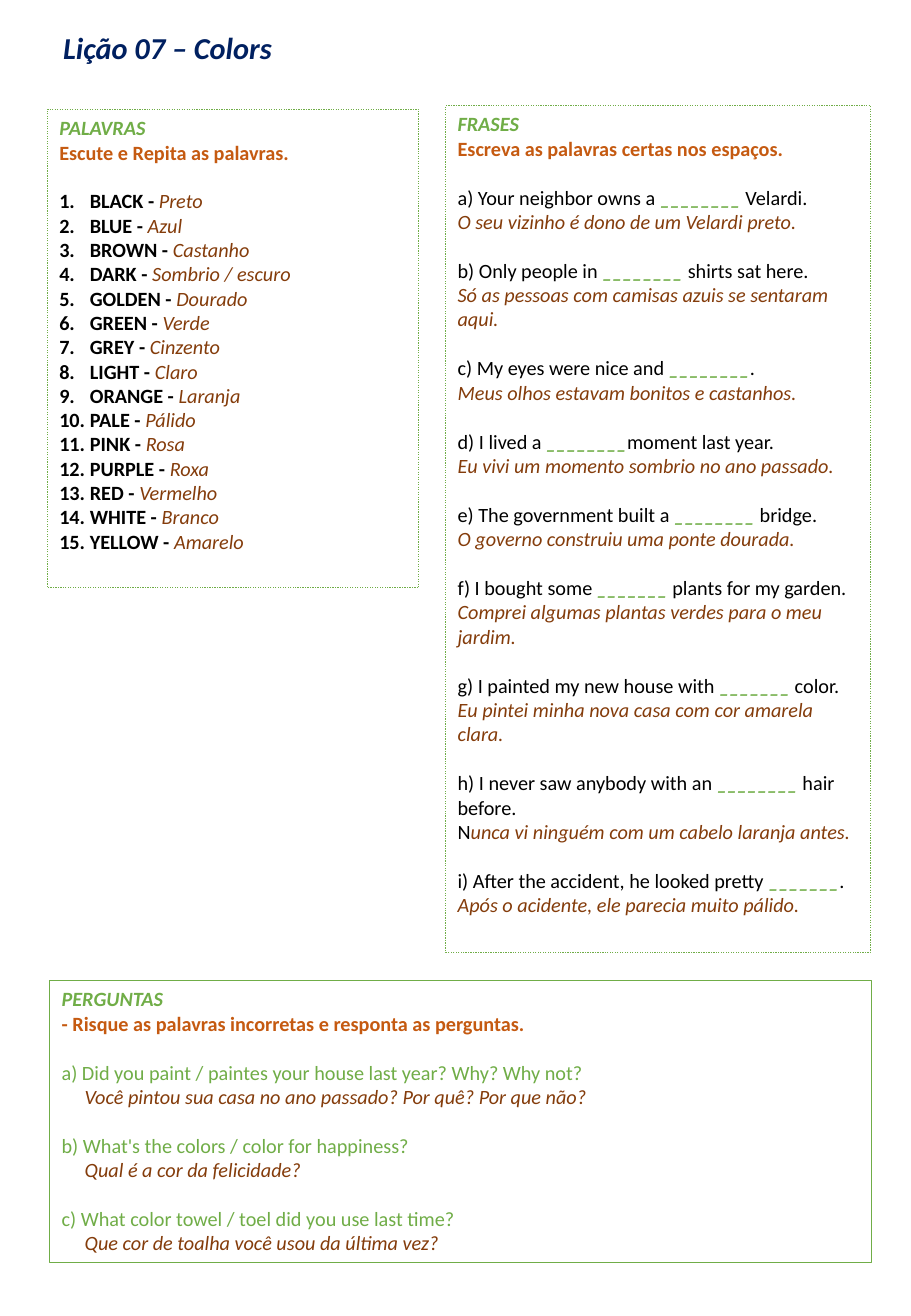
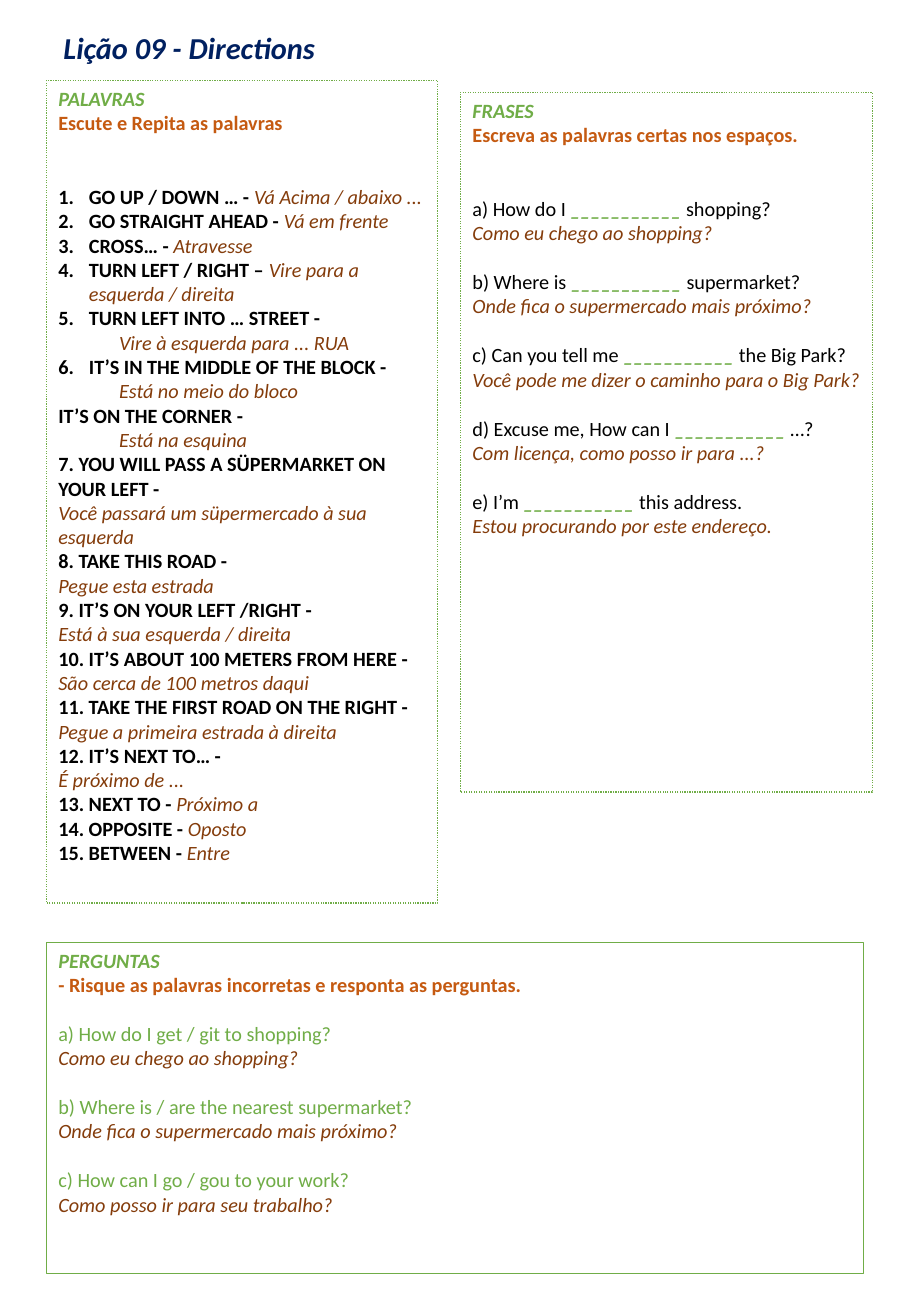
"""Builds two one-page English lessons with words, sentences and questions."""
from dataclasses import dataclass, replace

from lxml import etree
from pptx import Presentation
from pptx import util as u
from pptx.dml.color import RGBColor
from pptx.enum import dml, shapes, text
from pptx.oxml.ns import qn

GREEN, ORANGE, BROWN, NAVY, BLACK = "70AD47", "C55A11", "843C0B", "002060", "000000"
FONT = "Calibri"
BODY_PT = 12
GAP_PT = 14.6
LIST_INDENT = 0.64
MEANING_INDENT = 1.27

STYLES = {
    "title": dict(color=NAVY, bold=True, italic=True, size=18),
    "heading": dict(color=GREEN, bold=True, italic=True),
    "task": dict(color=ORANGE, bold=True),
    "word": dict(color=BLACK, bold=True),
    "sentence": dict(color=BLACK),
    "blank": dict(color=GREEN, bold=True, italic=True),
    "question": dict(color=GREEN),
    "translation": dict(color=BROWN, italic=True),
}


@dataclass(frozen=True)
class Para:
    """A paragraph of (style, text) runs; lengths are in centimetres."""
    runs: tuple[tuple[str, str], ...]
    gaps: int = 0
    left: float = 0
    hanging: float = 0
    numbered: bool = False


@dataclass(frozen=True)
class Panel:
    """A framed text box; lengths are in centimetres."""
    left: float
    top: float
    width: float
    height: float
    heading: str
    task: str
    paras: list[Para]
    dotted: bool = True


@dataclass(frozen=True)
class Lesson:
    """A page with a title and its panels."""
    title: str
    title_width: float
    panels: list[Panel]


def rgb(hex_color: str) -> RGBColor:
    """Turn a hex string into a colour."""
    return RGBColor.from_string(hex_color)


def add_run(p, content: str, *, color: str, bold: bool = False,
            italic: bool = False, size: float = BODY_PT) -> None:
    """Append formatted text to a paragraph."""
    r = p.add_run()
    r.text = content
    f = r.font
    f.name, f.size, f.bold, f.italic = FONT, u.Pt(size), bold, italic
    f.color.rgb = rgb(color)


def line(style: str, content: str, **layout) -> Para:
    """Make a paragraph with a single run."""
    return Para(((style, content),), **layout)


def entry(word: str, meaning: str) -> Para:
    """Make a vocabulary entry with its meaning on the same line."""
    return Para((("word", f"{word} "), ("translation", meaning)))


def numbered(para: Para) -> Para:
    """Give an entry an automatic number."""
    return replace(para, left=LIST_INDENT, hanging=LIST_INDENT, numbered=True)


def pair(word: str, meaning: str, indent: float = 0) -> list[Para]:
    """Make an expression with its meaning on the next line."""
    return [line("word", word), line("translation", meaning, left=indent)]


def with_gap(paras: list[Para], gaps: int) -> list[Para]:
    """Set the number of free lines above the first paragraph."""
    return [replace(paras[0], gaps=gaps), *paras[1:]]


def sentences(*items: tuple[str, str]) -> list[Para]:
    """Make fill-in sentences; a bar ends the plain start of a translation."""
    paras = []
    for english, portuguese in items:
        start, end = english.index("_"), english.rindex("_") + 1
        lead, _, rest = portuguese.rpartition("|")
        plain = (("sentence", lead),) if lead else ()
        paras += [Para((("sentence", english[:start]), ("blank", english[start:end]),
                        ("sentence", english[end:])), gaps=1),
                  Para(plain + (("translation", rest),))]
    return paras


def questions(*items: tuple[str, str], indent: float = 0) -> list[Para]:
    """Make questions, each followed by its translation."""
    paras = []
    for english, portuguese in items:
        paras += [line("question", english, gaps=1),
                  line("translation", portuguese, left=indent)]
    return paras


def write_para(p, para: Para) -> None:
    """Fill a paragraph with its layout and runs."""
    p.alignment = text.PP_ALIGN.LEFT
    pPr = p._p.get_or_add_pPr()
    if para.left:
        pPr.set("marL", str(int(u.Cm(para.left))))
        pPr.set("indent", str(-int(u.Cm(para.hanging))))
    if para.numbered:
        etree.SubElement(pPr, qn("a:buFont"), typeface="+mj-lt")
        etree.SubElement(pPr, qn("a:buAutoNum"), type="arabicPeriod")
    if para.gaps:
        p.space_before = u.Pt(GAP_PT * para.gaps)
    for style, content in para.runs:
        add_run(p, content, **STYLES[style])


def draw_panel(s, panel: Panel) -> None:
    """Draw a framed panel with its heading, task and paragraphs."""
    sp = s.shapes.add_shape(shapes.MSO_SHAPE.RECTANGLE, u.Cm(panel.left), u.Cm(panel.top),
                            u.Cm(panel.width), u.Cm(panel.height))
    sp.shadow.inherit = False
    sp.fill.background()
    sp.line.color.rgb = rgb(GREEN)
    sp.line.width = u.Pt(0.75 if panel.dotted else 0.25)
    if panel.dotted:
        sp.line.dash_style = dml.MSO_LINE.ROUND_DOT
    tf = sp.text_frame
    tf.word_wrap = True
    tf.vertical_anchor = text.MSO_ANCHOR.TOP
    paras = [line("heading", panel.heading), line("task", panel.task), *panel.paras]
    for i, para in enumerate(paras):
        write_para(tf.add_paragraph() if i else tf.paragraphs[0], para)


def draw_lesson(prs, lesson: Lesson) -> None:
    """Add a slide for a lesson."""
    s = prs.slides.add_slide(prs.slide_layouts[6])
    sp = s.shapes.add_textbox(u.Cm(1.04), u.Cm(0.43), u.Cm(lesson.title_width), u.Cm(1.09))
    tf = sp.text_frame
    tf.word_wrap = False
    p = tf.paragraphs[0]
    p.alignment = text.PP_ALIGN.CENTER
    p.line_spacing = 1.07
    add_run(p, lesson.title, **STYLES["title"])
    for panel in lesson.panels:
        draw_panel(s, panel)


FILL_TASK = "Escreva as palavras certas nos espaços."
STRIKE_TASK = "- Risque as palavras incorretas e responta as perguntas."

COLOR_WORDS = [numbered(entry(f"{word} -", meaning)) for word, meaning in (
    ("BLACK", "Preto"), ("BLUE", "Azul"), ("BROWN", "Castanho"),
    ("DARK", "Sombrio / escuro"), ("GOLDEN", "Dourado"), ("GREEN", "Verde"),
    ("GREY", "Cinzento"), ("LIGHT", "Claro"), ("ORANGE", "Laranja"),
    ("PALE", "Pálido"), ("PINK", "Rosa"), ("PURPLE", "Roxa"),
    ("RED", "Vermelho"), ("WHITE", "Branco"), ("YELLOW", "Amarelo"))]

COLOR_SENTENCES = sentences(
    ("a) Your neighbor owns a ________ Velardi.",
     "O seu vizinho é dono de um Velardi preto."),
    ("b) Only people in ________ shirts sat here.",
     "Só as pessoas com camisas azuis se sentaram aqui."),
    ("c) My eyes were nice and ________.", "Meus olhos estavam bonitos e castanhos."),
    ("d) I lived a ________moment last year.",
     "Eu vivi um momento sombrio no ano passado."),
    ("e) The government built a ________ bridge.",
     "O governo construiu uma ponte dourada."),
    ("f) I bought some _______ plants for my garden.",
     "Comprei algumas plantas verdes para o meu jardim."),
    ("g) I painted my new house with _______ color.",
     "Eu pintei minha nova casa com cor amarela clara."),
    ("h) I never saw anybody with an ________ hair before.",
     "N|unca vi ninguém com um cabelo laranja antes."),
    ("i) After the accident, he looked pretty _______.",
     "Após o acidente, ele parecia muito pálido."))

COLOR_QUESTIONS = questions(
    ("a) Did you paint / paintes your house last year? Why? Why not?",
     "Você pintou sua casa no ano passado? Por quê? Por que não?"),
    ("b) What's the colors / color for happiness?", "Qual é a cor da felicidade?"),
    ("c) What color towel / toel did you use last time?",
     "Que cor de toalha você usou da última vez?"),
    indent=0.48)

DIRECTION_WORDS = [
    numbered(entry("GO UP / DOWN … -", "Vá Acima / abaixo ...")),
    numbered(entry("GO STRAIGHT AHEAD -", "Vá em frente")),
    numbered(entry("CROSS… -", "Atravesse")),
    numbered(entry("TURN LEFT / RIGHT –", "Vire para a esquerda / direita")),
    numbered(line("word", "TURN LEFT INTO … STREET -")),
    line("translation", "Vire à esquerda para ... RUA", left=MEANING_INDENT),
    line("word", "6.\tIT’S IN THE MIDDLE OF THE BLOCK -", left=LIST_INDENT,
         hanging=LIST_INDENT),
    line("translation", "Está no meio do bloco", left=MEANING_INDENT),
    *pair("IT’S ON THE CORNER -", "Está na esquina", MEANING_INDENT),
    *pair("7. YOU WILL PASS A SÜPERMARKET ON YOUR LEFT -",
          "Você passará um süpermercado à sua esquerda"),
    *pair("8. TAKE THIS ROAD -", "Pegue esta estrada"),
    *pair("9. IT’S ON YOUR LEFT /RIGHT -", "Está à sua esquerda / direita"),
    *pair("10. IT’S ABOUT 100 METERS FROM HERE -", "São cerca de 100 metros daqui"),
    *pair("11. TAKE THE FIRST ROAD ON THE RIGHT -", "Pegue a primeira estrada à direita"),
    *pair("12. IT’S NEXT TO… -", "É próximo de ..."),
    entry("13. NEXT TO -", "Próximo a"),
    entry("14. OPPOSITE -", "Oposto"),
    entry("15. BETWEEN -", "Entre"),
]

DIRECTION_SENTENCES = sentences(
    ("a) How do I ___________ shopping?", "Como eu chego ao shopping?"),
    ("b) Where is ___________ supermarket?", "Onde fica o supermercado mais próximo?"),
    ("c) Can you tell me ___________ the Big Park?",
     "Você pode me dizer o caminho para o Big Park?"),
    ("d) Excuse me, How can I ___________ …?", "Com licença, como posso ir para ...?"),
    ("e) I’m ___________ this address.", "Estou procurando por este endereço."))

DIRECTION_QUESTIONS = questions(
    ("a) How do I get / git to shopping?", "Como eu chego ao shopping?"),
    ("b) Where is / are the nearest supermarket?",
     "Onde fica o supermercado mais próximo?"),
    ("c) How can I go / gou to your work?", "Como posso ir para seu trabalho?"))

LESSONS = [
    Lesson("Lição 07 – Colors", 4.93, [
        Panel(9.32, 2.21, 8.89, 17.7, "FRASES", FILL_TASK, COLOR_SENTENCES),
        Panel(1.04, 20.5, 17.17, 5.89, "PERGUNTAS", STRIKE_TASK, COLOR_QUESTIONS,
              dotted=False),
        Panel(0.99, 2.29, 7.77, 10, "PALAVRAS", "Escute e Repita as palavras.",
              with_gap(COLOR_WORDS, 1)),
    ]),
    Lesson("Lição 09 - Directions", 5.84, [
        Panel(9.63, 1.93, 8.61, 14.63, "FRASES", FILL_TASK,
              with_gap(DIRECTION_SENTENCES, 2)),
        Panel(0.97, 19.69, 17.09, 6.93, "PERGUNTAS", STRIKE_TASK, DIRECTION_QUESTIONS,
              dotted=False),
        Panel(0.97, 1.68, 8.18, 17.2, "PALAVRAS", "Escute e Repita as palavras",
              with_gap(DIRECTION_WORDS, 2)),
    ]),
]


def main() -> None:
    """Build and save the lessons."""
    prs = Presentation()
    prs.slide_width, prs.slide_height = u.Cm(19.05), u.Cm(27.51)
    for lesson in LESSONS:
        draw_lesson(prs, lesson)
    prs.save("out.pptx")


if __name__ == "__main__":
    main()
